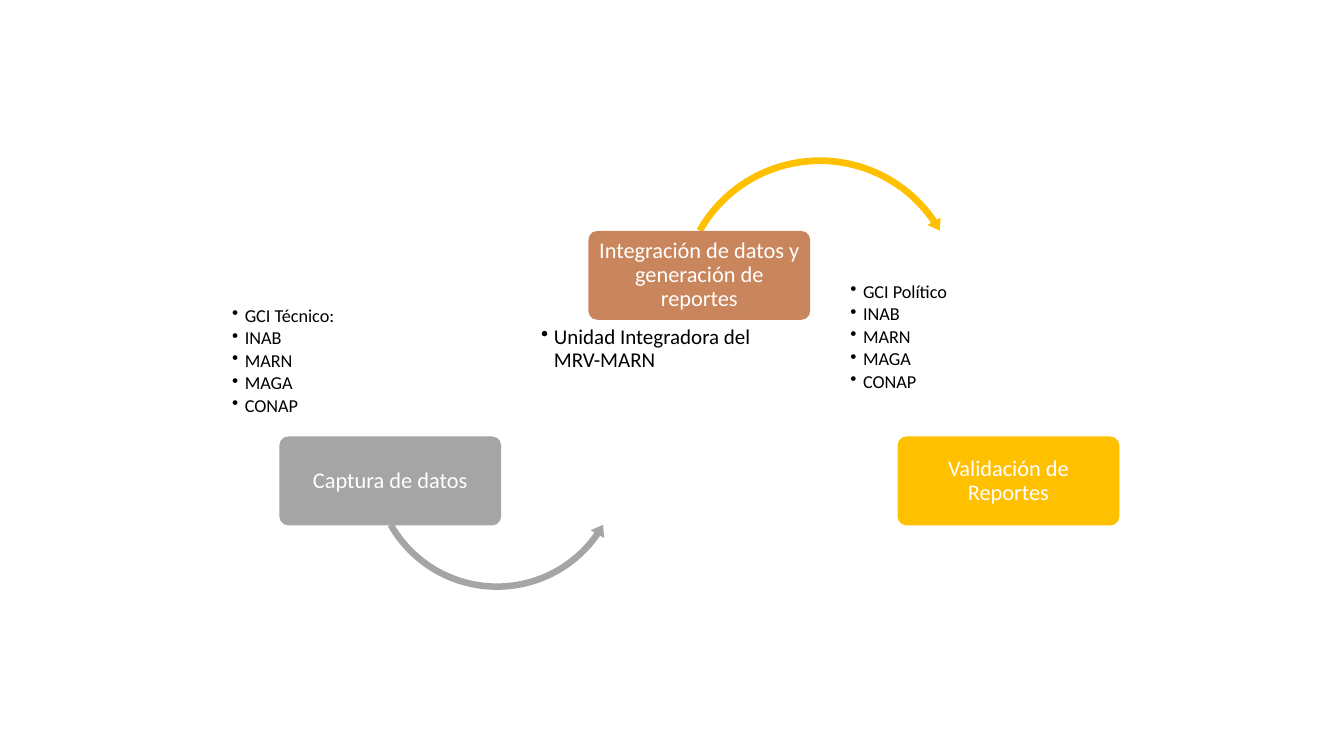
from dataclasses import dataclass
from typing import Optional

from lxml import etree
from pptx import Presentation
from pptx.dml.color import RGBColor
from pptx.enum.shapes import MSO_SHAPE
from pptx.enum.text import MSO_ANCHOR, PP_ALIGN
from pptx.oxml.ns import qn
from pptx.util import Cm, Pt

ROUNDED = MSO_SHAPE.ROUNDED_RECTANGLE
ARC_OVER = MSO_SHAPE.CIRCULAR_ARROW
ARC_UNDER = MSO_SHAPE.LEFT_CIRCULAR_ARROW
CENTER = PP_ALIGN.CENTER
MIDDLE = MSO_ANCHOR.MIDDLE

WHITE = RGBColor(0xFF, 0xFF, 0xFF)
BLACK = RGBColor(0x00, 0x00, 0x00)
GREY = RGBColor(0xA5, 0xA5, 0xA5)
COPPER = RGBColor(0xC9, 0x85, 0x5C)
AMBER = RGBColor(0xFF, 0xC0, 0x00)

FONT = "Calibri"
STAGE_PITCH = 7.79
BOX_LEFT, BOX_WIDTH, BOX_HEIGHT = 7.04, 5.59, 2.24
LIST_LEFT, LIST_WIDTH = 5.77, 6.05
BULLET_INDENT = Cm(0.32)


@dataclass
class Arc:
    kind: MSO_SHAPE
    left: float
    top: float
    size: float
    color: RGBColor
    adjustments: tuple[float, ...]


@dataclass
class Stage:
    title: str
    color: RGBColor
    box_top: float
    members: tuple[str, ...]
    list_top: float
    list_height: float
    list_size: int
    arc: Optional[Arc] = None


INSTITUTIONS = ("INAB", "MARN", "MAGA", "CONAP")

STAGES = (
    Stage("Captura de datos", GREY, 11, ("GCI Técnico:", *INSTITUTIONS), 7.65, 3.23, 13,
          Arc(ARC_UNDER, 9.25, 8.43, 6.55, GREY, (0.025, 3.094, 20.849, 90.245, 0.03))),
    Stage("Integración de datos y generación de reportes", COPPER, 5.82,
          ("Unidad Integradora del MRV-MARN",), 8.15, 3.84, 15,
          Arc(ARC_OVER, 16.99, 3.86, 7.34, AMBER, (0.023, 2.738, 195.507, 125.755, 0.026))),
    Stage("Validación de Reportes", AMBER, 11, ("GCI Político", *INSTITUTIONS), 7.04, 3.84, 13),
)


def add_filled(slide, kind: MSO_SHAPE, left: float, top: float, width: float, height: float,
               color: RGBColor, adjustments: tuple[float, ...]):
    shape = slide.shapes.add_shape(kind, Cm(left), Cm(top), Cm(width), Cm(height))
    for index, value in enumerate(adjustments):
        shape.adjustments[index] = value
    shape.fill.solid()
    shape.fill.fore_color.rgb = color
    shape.line.fill.background()
    shape.shadow.inherit = False
    return shape


def set_frame(frame, inset: float) -> None:
    """Wrap the text and use the same margin on all sides."""
    frame.word_wrap = True
    frame.margin_left = frame.margin_right = Cm(inset)
    frame.margin_top = frame.margin_bottom = Cm(inset)


def write(paragraph, text: str, size: int, color: RGBColor) -> None:
    paragraph.line_spacing = 0.9
    run = paragraph.add_run()
    run.text = text
    run.font.name = FONT
    run.font.size = Pt(size)
    run.font.color.rgb = color


def add_bullet(paragraph) -> None:
    properties = paragraph._p.get_or_add_pPr()
    properties.set("marL", str(BULLET_INDENT))
    properties.set("indent", str(-BULLET_INDENT))
    etree.SubElement(properties, qn("a:buChar")).set("char", "•")


def add_members(slide, stage: Stage, offset: float) -> None:
    box = slide.shapes.add_textbox(Cm(LIST_LEFT + offset), Cm(stage.list_top),
                                   Cm(LIST_WIDTH), Cm(stage.list_height))
    frame = box.text_frame
    set_frame(frame, 0.08)
    for index, member in enumerate(stage.members):
        paragraph = frame.add_paragraph() if index else frame.paragraphs[0]
        write(paragraph, member, stage.list_size, BLACK)
        paragraph.space_after = Pt(2)
        add_bullet(paragraph)


def add_stage_box(slide, stage: Stage, offset: float) -> None:
    box = add_filled(slide, ROUNDED, BOX_LEFT + offset, stage.box_top,
                     BOX_WIDTH, BOX_HEIGHT, stage.color, (0.1,))
    frame = box.text_frame
    set_frame(frame, 0.14)
    frame.vertical_anchor = MIDDLE
    title = frame.paragraphs[0]
    title.alignment = CENTER
    write(title, stage.title, 16, WHITE)


def main() -> None:
    prs = Presentation()
    prs.slide_width, prs.slide_height = Cm(33.87), Cm(19.05)
    slide = prs.slides.add_slide(prs.slide_layouts[6])
    for index, stage in enumerate(STAGES):
        offset = index * STAGE_PITCH
        add_members(slide, stage, offset)
        if stage.arc:
            arc = stage.arc
            add_filled(slide, arc.kind, arc.left, arc.top, arc.size, arc.size,
                       arc.color, arc.adjustments)
        add_stage_box(slide, stage, offset)
    prs.save("out.pptx")


if __name__ == "__main__":
    main()
